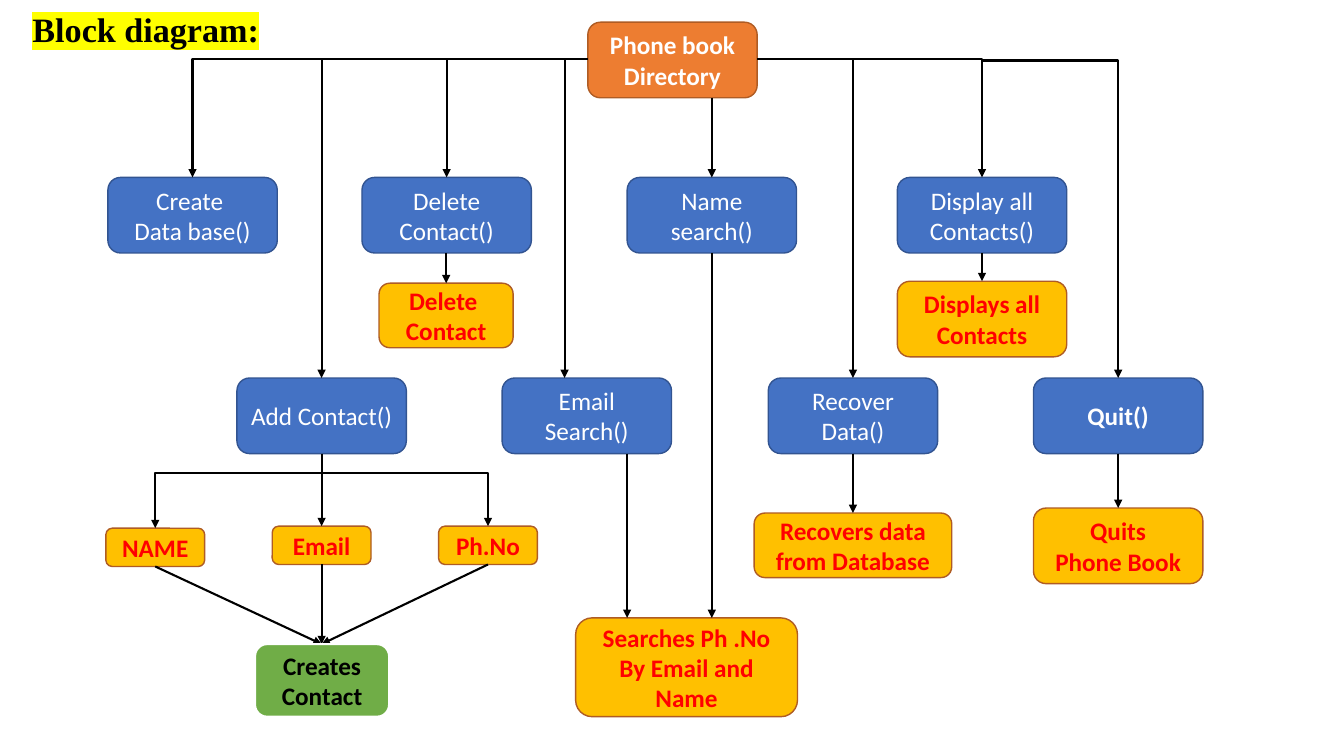
import pptx
import pptx.dml.color
import pptx.enum.shapes
import pptx.enum.text
import pptx.oxml
import pptx.oxml.ns
import pptx.util

SCALE = 9144
NODE_WIDTH, NODE_HEIGHT = 168, 75
BLUE, AMBER, ORANGE, GREEN = "4472C4", "FFC000", "ED7D31", "70AD47"
NAVY, RUST, RED, WHITE, BLACK = "325491", "AF5C24", "FF0000", "FFFFFF", "000000"
PROCESS = pptx.enum.shapes.MSO_SHAPE.FLOWCHART_ALTERNATE_PROCESS
ROUNDED = pptx.enum.shapes.MSO_SHAPE.ROUNDED_RECTANGLE
qn = pptx.oxml.ns.qn


def px(length):
    return pptx.util.Emu(round(length * SCALE))


def colour(value):
    return pptx.dml.color.RGBColor.from_string(value)


def add_xml(parent, tag, **attributes):
    element = parent.makeelement(qn(tag), attributes)
    parent.append(element)
    return element


def write_text(shape, text, size=18, font="Calibri", color=WHITE, bold=False,
               anchor="MIDDLE", spacing=None, highlight=None):
    frame = shape.text_frame
    frame.text = text
    frame.word_wrap = True
    frame.auto_size = pptx.enum.text.MSO_AUTO_SIZE.NONE
    frame.vertical_anchor = getattr(pptx.enum.text.MSO_ANCHOR, anchor)
    for paragraph in frame.paragraphs:
        paragraph.alignment = pptx.enum.text.PP_ALIGN.CENTER
        if spacing:
            paragraph.line_spacing = spacing
        for run in paragraph.runs:
            run.font.size = pptx.util.Pt(size)
            run.font.bold = bold
            run.font.color.rgb = colour(color)
            if highlight:
                mark = add_xml(run.font._element, "a:highlight")
                add_xml(mark, "a:srgbClr", val=highlight)
            run.font.name = font


def add_node(slide, box, text, fill=BLUE, line=NAVY, line_width=1,
             geometry=PROCESS, **text_format):
    shape = slide.shapes.add_shape(geometry, *map(px, box))
    shape.shadow.inherit = False
    shape.fill.solid()
    shape.fill.fore_color.rgb = colour(fill)
    shape.line.color.rgb = colour(line)
    shape.line.width = pptx.util.Pt(line_width)
    write_text(shape, text, **text_format)


def add_outcome(slide, box, text):
    add_node(slide, box, text, fill=AMBER, line=RUST, color=RED, bold=True)


def add_arrow(slide, start, end, bent=False, width=1.5):
    kinds = pptx.enum.shapes.MSO_CONNECTOR
    connector = slide.shapes.add_connector(
        kinds.ELBOW if bent else kinds.STRAIGHT, *map(px, start + end))
    connector.line.color.rgb = colour(BLACK)
    connector.line.width = pptx.util.Pt(width)
    properties = connector.element.spPr
    if bent:
        properties.find(qn("a:prstGeom")).set("prst", "bentConnector2")
    add_xml(properties.find(qn("a:ln")), "a:tailEnd", type="triangle")
    add_xml(properties, "a:effectLst")


def draw_title(slide, box):
    title = slide.shapes.title
    title.left, title.top, title.width, title.height = map(px, box)
    frame = title.text_frame
    frame.margin_left = frame.margin_right = 0
    write_text(title, "Block diagram:", size=24.4, font="Times New Roman", color=BLACK,
               bold=True, anchor="BOTTOM", spacing=0.8, highlight="FFFF00")


def draw_directory(slide, box):
    left, top, width, height = box
    add_node(slide, box, "Phone book\nDirectory", fill=ORANGE, line=RUST, bold=True)
    bus, upper, lower = top + 37, top + 154, top + 353
    add_arrow(slide, (left, bus), (left - 392, upper), bent=True)
    add_arrow(slide, (left + width, bus), (left + 391, upper), bent=True)
    add_arrow(slide, (left + 391, bus + 1), (left + 526, lower), bent=True)
    add_arrow(slide, (left + 123, top + height), (left + 123, upper))
    for offset, bottom in ((-264, lower), (-140, upper), (-23, lower), (263, lower)):
        add_arrow(slide, (left + offset, bus), (left + offset, bottom))


def draw_function_row(slide, box, functions):
    left, top, width, height = box
    for offset, text in functions:
        add_node(slide, (left + offset, top, NODE_WIDTH, height), text,
                 bold=text == "Quit()")


def draw_single_outcome(slide, box, text, gap, width=1.5):
    left, top, box_width, height = box
    center = left + box_width / 2
    add_outcome(slide, box, text)
    add_arrow(slide, (center, top - gap), (center, top), width=width)


def draw_contact_fields(slide, box):
    left, top, width, height = box
    field_width, field_height = 98, 38
    center = left + width / 2
    branch, field_top, result_top = top + 19, top + 72, top + 189
    pitch = (width - field_width) / 2
    for index, text in enumerate(("NAME", "Email", "Ph.No")):
        field_left = left + index * pitch
        field_center = field_left + field_width / 2
        y = field_top + (2 if index == 0 else 0)
        add_outcome(slide, (field_left, y, field_width, field_height), text)
        side = index != 1
        add_arrow(slide, (center, branch if side else top), (field_center, y), bent=side)
        add_arrow(slide, (field_center, y + field_height), (center, result_top))
    add_node(slide, (center - 66, result_top, 133, height - 189), "Creates\nContact",
             fill=GREEN, line=WHITE, line_width=1.5, geometry=ROUNDED,
             color=BLACK, bold=True)


def draw_search_outcome(slide, box):
    left, top, width, height = box
    add_outcome(slide, box, "Searches Ph .No\nBy Email and Name")
    for offset, rise in ((51, 163), (135, 362)):
        add_arrow(slide, (left + offset, top - rise), (left + offset, top))


def main():
    presentation = pptx.Presentation()
    presentation.slide_width, presentation.slide_height = px(1333), px(750)
    slide = presentation.slides.add_slide(presentation.slide_layouts[5])
    draw_title(slide, (20, 9, 249, 45))
    draw_function_row(slide, (107, 176, 951, NODE_HEIGHT), (
        (0, "Create \nData base()"), (252, "Delete Contact()"),
        (515, "Name search()"), (783, "Display all\nContacts()")))
    draw_function_row(slide, (235, 375, 958, NODE_HEIGHT), (
        (0, "Add Contact()"), (263, "Email Search()"),
        (527, "Recover Data()"), (790, "Quit()")))
    draw_directory(slide, (583, 22, NODE_WIDTH, NODE_HEIGHT))
    draw_contact_fields(slide, (105, 450, 428, 261))
    for box, text, gap, width in (
            ((376, 281, 133, 64), "Delete \nContact", 30, 1.5),
            ((890, 279, NODE_WIDTH, NODE_HEIGHT), "Displays all\nContacts", 28, 1.5),
            ((748, 509, 196, 64), "Recovers data from Database", 59, 1.5),
            ((1025, 504, NODE_WIDTH, NODE_HEIGHT), "Quits\nPhone Book", 54, 1)):
        draw_single_outcome(slide, box, text, gap, width)
    draw_search_outcome(slide, (571, 613, 220, 98))
    presentation.save("out.pptx")


if __name__ == "__main__":
    main()
